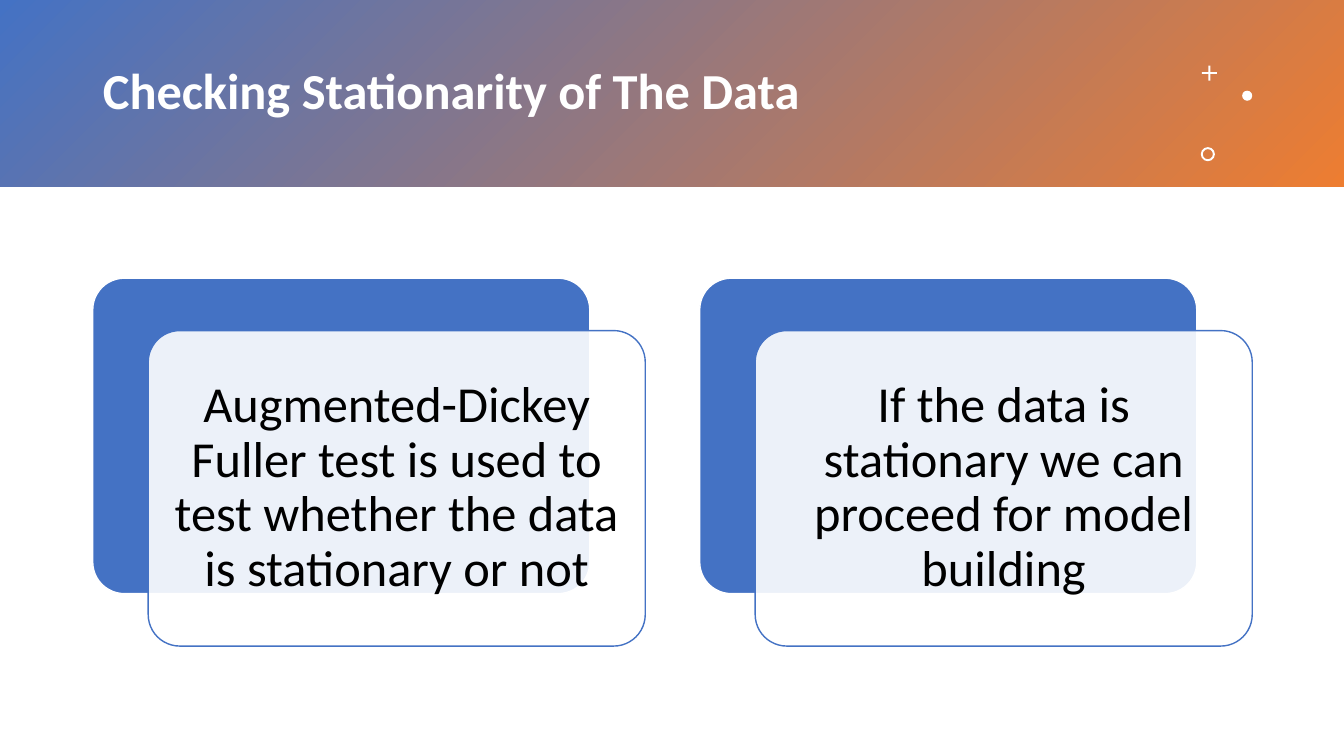
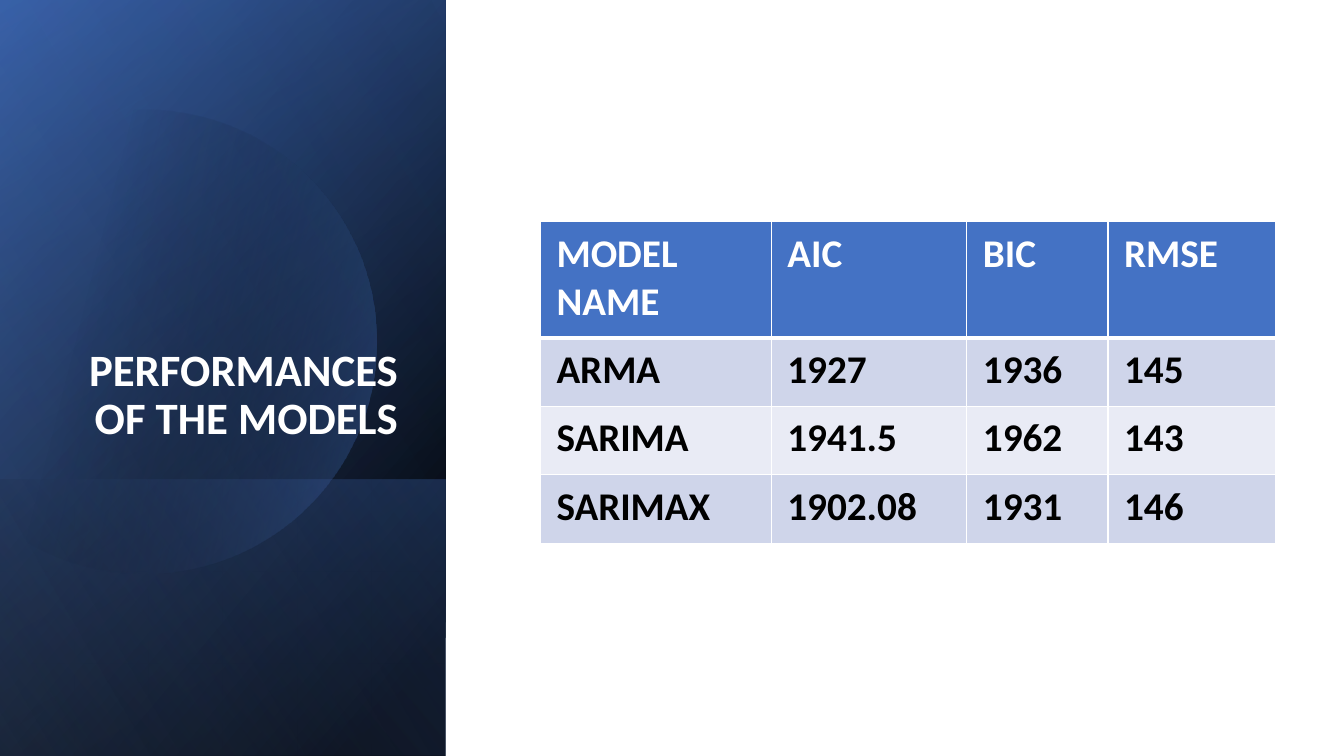
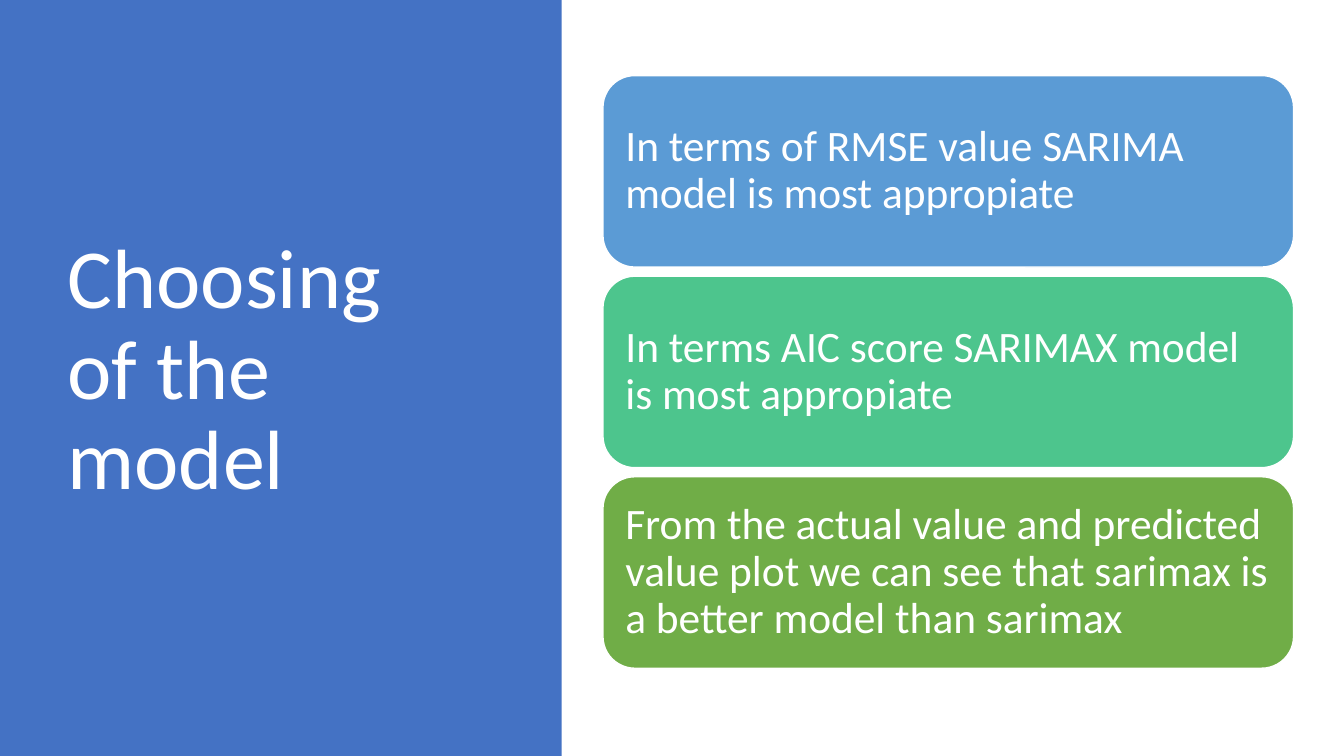
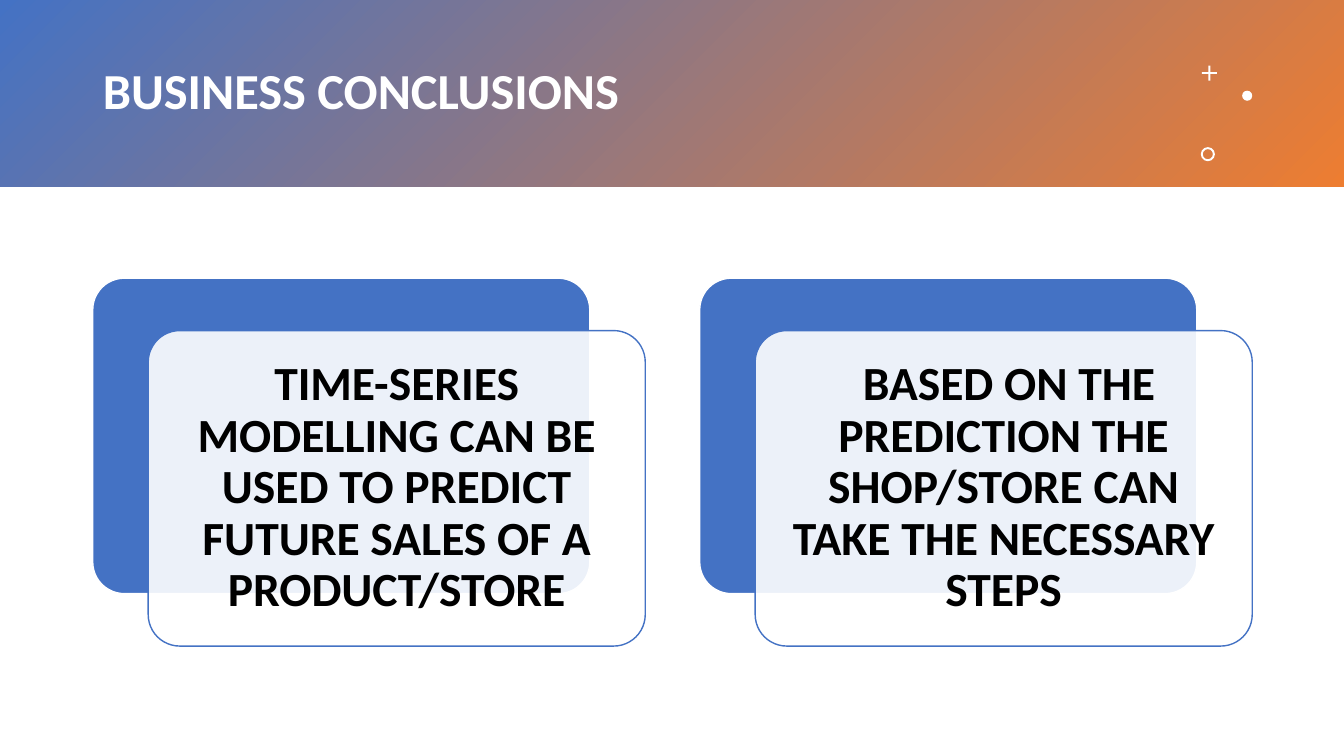
import math
from dataclasses import dataclass
from typing import NamedTuple, Optional

from lxml import etree
from pptx import Presentation
from pptx.dml.color import RGBColor
from pptx.enum.shapes import MSO_SHAPE as Kind
from pptx.enum.text import MSO_ANCHOR as Anchor, MSO_AUTO_SIZE as Fit, PP_ALIGN as Align
from pptx.oxml import ns
from pptx.util import Inches, Pt

FONT = "Calibri"
HEX = {
    "white": "FFFFFF", "black": "000000", "blue": "4472C4", "orange": "ED7D31",
    "navy": "2F5597", "pale": "8FAADC", "sky": "5B9BD5", "mint": "4DC58D",
    "green": "70AD47", "odd": "CFD5EA", "even": "E9EBF5",
}


class Box(NamedTuple):
    x: float
    y: float
    w: float
    h: float

    def size(self) -> list:
        return [Inches(v) for v in self]


class Stop(NamedTuple):
    pos: int
    color: str
    alpha: int = 100


@dataclass
class Style:
    size: int
    color: str = "white"
    bold: bool = False
    align: Align = Align.LEFT
    anchor: Anchor = Anchor.MIDDLE
    space: float = 0.9


@dataclass
class Panel:
    box: Box
    angle: int
    stops: list


FULL = Box(0, 0, 4.42, 7.5)
PANELS = [
    Panel(FULL, 50, [Stop(8, "black"), Stop(100, "navy")]),
    Panel(FULL, 30, [Stop(0, "black", 0), Stop(99, "blue", 46)]),
    Panel(Box(0, 4.76, 4.42, 2.74), 130, [Stop(2, "blue", 29), Stop(100, "black", 30)]),
]
GLOW = Panel(FULL, 120, [Stop(0, "black", 0), Stop(99, "pale", 11)])
MODELS = [
    ["MODEL NAME", "AIC", "BIC", "RMSE"],
    ["ARMA", "1927", "1936", "145"],
    ["SARIMA", "1941.5", "1962", "143"],
    ["SARIMAX", "1902.08", "1931", "146"],
]
CHOICES = [
    ("sky", "In terms of RMSE value SARIMA model is most appropiate"),
    ("mint", "In terms AIC score SARIMAX model is most appropiate"),
    ("green", "From the actual value and predicted value plot we can see that "
              "sarimax is a better model than sarimax"),
]


# Fills and lines
def rgb(name: str) -> RGBColor:
    return RGBColor.from_string(HEX[name])


def sub(node, tag: str, **attrs):
    return etree.SubElement(node, ns.qn(tag), {k: str(v) for k, v in attrs.items()})


def paint(shape, color: str, alpha: int = 100, line: Optional[str] = None) -> None:
    shape.shadow.inherit = False
    shape.fill.solid()
    shape.fill.fore_color.rgb = rgb(color)
    if alpha < 100:
        tint = shape.element.spPr.find(".//" + ns.qn("a:srgbClr"))
        sub(tint, "a:alpha", val=alpha * 1000)
    if line:
        shape.line.color.rgb = rgb(line)
        shape.line.width = Pt(1)
    else:
        shape.line.fill.background()


def blend(shape, stops: list, angle: int) -> None:
    paint(shape, "white")
    shape.fill.gradient()
    grad = shape.element.spPr.find(ns.qn("a:gradFill"))
    for node in list(grad):
        grad.remove(node)
    group = sub(grad, "a:gsLst")
    for stop in stops:
        mark = sub(group, "a:gs", pos=stop.pos * 1000)
        tint = sub(mark, "a:srgbClr", val=HEX[stop.color])
        if stop.alpha < 100:
            sub(tint, "a:alpha", val=stop.alpha * 1000)
    sub(grad, "a:lin", ang=angle * 60000, scaled=0)


# Text
def write(frame, text: str, style: Style, pad: Optional[float] = None) -> None:
    frame.text = text
    frame.word_wrap = True
    frame.auto_size = Fit.NONE
    frame.vertical_anchor = style.anchor
    if pad is not None:
        frame.margin_left = frame.margin_right = Inches(pad)
        frame.margin_top = frame.margin_bottom = Inches(pad)
    for para in frame.paragraphs:
        dress(para, style)


def dress(para, style: Style) -> None:
    para.alignment = style.align
    para.line_spacing = style.space
    for run in para.runs:
        run.font.name = FONT
        run.font.size = Pt(style.size)
        run.font.bold = style.bold
        run.font.color.rgb = rgb(style.color)


def head(slide, text: str, box: Box, style: Style) -> None:
    title = slide.shapes.title
    title.left, title.top, title.width, title.height = box.size()
    write(title.text_frame, text, style)
    title.element.getparent().append(title.element)  # bring to front


# Shared parts
def add(slide, kind: Kind, box: Box, adj: Optional[float] = None):
    shape = slide.shapes.add_shape(kind, *box.size())
    if adj is not None:
        shape.adjustments[0] = adj
    return shape


def banner(slide, text: str) -> None:
    band = add(slide, Kind.RECTANGLE, Box(0, 0, 13.33, 1.85))
    blend(band, [Stop(0, "blue"), Stop(100, "orange")], 45)
    head(slide, text, Box(0.92, 0.33, 10.75, 1.19), Style(36, bold=True))
    for kind, box, adj in (
        (Kind.CROSS, Box(11.92, 0.65, 0.15, 0.15), 0.44),
        (Kind.OVAL, Box(12.32, 0.9, 0.1, 0.1), None),
        (Kind.DONUT, Box(11.91, 1.46, 0.14, 0.14), 0.14),
    ):
        paint(add(slide, kind, box, adj), "white")


def cards(slide, texts: list, style: Style, pad: float) -> None:
    for i, text in enumerate(texts):
        left = 0.92 + 6.02 * i
        back = add(slide, Kind.ROUNDED_RECTANGLE, Box(left, 2.76, 4.93, 3.13), 0.1)
        paint(back, "blue", line="white")
        front = add(slide, Kind.ROUNDED_RECTANGLE, Box(left + 0.55, 3.28, 4.93, 3.13), 0.1)
        paint(front, "white", 90, "blue")
        write(front.text_frame, text, style, pad)


def duo(slide, title: str, texts: list, style: Style, pad: float) -> None:
    banner(slide, title)
    cards(slide, texts, style, pad)


# Model scores
def turn(slide, panel: Panel) -> None:
    """Draw a panel as a mirrored rectangle turned by a quarter."""
    x, y, w, h = panel.box
    shape = add(slide, Kind.RECTANGLE, Box(x + (w - h) / 2, y + (h - w) / 2, h, w))
    shape.rotation = 90
    shape.element.spPr.find(ns.qn("a:xfrm")).set("flipH", "1")
    blend(shape, panel.stops, panel.angle)


def disc(slide) -> None:
    """Draw a circle cut off by a vertical chord on its left."""
    mid, top, rad, edge = 1.43, 3.39, 2.3, -0.15
    end = math.acos((edge - mid) / rad)
    steps = 90
    turns = [end * (2 * i / steps - 1) for i in range(steps + 1)]
    dots = [(Inches(mid + rad * math.cos(t)), Inches(top + rad * math.sin(t))) for t in turns]
    pen = slide.shapes.build_freeform(*dots[0])
    pen.add_line_segments(dots[1:], close=True)
    blend(pen.convert_to_shape(), [Stop(29, "black", 0), Stop(100, "blue", 43)], 14)


def edges(cell, base: int) -> None:
    props = cell._tc.get_or_add_tcPr()
    for side, width in (("L", 1), ("R", 1), ("T", 1), ("B", base)):
        line = sub(props, "a:ln" + side, w=Pt(width))
        sub(sub(line, "a:solidFill"), "a:srgbClr", val=HEX["white"])


def scores(slide) -> None:
    widths, heights = [2.29, 1.94, 1.4, 1.66], [1.15, 0.68, 0.68, 0.68]
    box = Box(5.36, 2.2, sum(widths), sum(heights))
    table = slide.shapes.add_table(len(heights), len(widths), *box.size()).table
    for col, width in zip(table.columns, widths):
        col.width = Inches(width)
    for r, (height, row) in enumerate(zip(heights, MODELS)):
        table.rows[r].height = Inches(height)
        fill = "blue" if r == 0 else "odd" if r % 2 else "even"
        style = Style(28, "black" if r else "white", bold=True, space=1.0)
        for c, text in enumerate(row):
            cell = table.cell(r, c)
            cell.text = text
            dress(cell.text_frame.paragraphs[0], style)
            cell.margin_left = cell.margin_right = Inches(0.16)
            cell.margin_top = cell.margin_bottom = Inches(0.08)
            edges(cell, 1 if r else 3)
            cell.fill.solid()
            cell.fill.fore_color.rgb = rgb(fill)


def models(slide) -> None:
    for panel in PANELS:
        turn(slide, panel)
    disc(slide)
    turn(slide, GLOW)
    style = Style(32, bold=True, align=Align.RIGHT, anchor=Anchor.BOTTOM)
    head(slide, "PERFORMANCES OF THE MODELS", Box(0.64, 1.84, 3.41, 2.62), style)
    scores(slide)


# Model choice
def choice(slide) -> None:
    paint(add(slide, Kind.RECTANGLE, Box(0, 0, 5.57, 7.5)), "blue")
    head(slide, "Choosing of the model", Box(0.57, 0.68, 4.16, 6.02), Style(60))
    for i, (color, text) in enumerate(CHOICES):
        bar = add(slide, Kind.ROUNDED_RECTANGLE, Box(5.98, 0.75 + 1.99 * i, 6.85, 1.9))
        paint(bar, color, line="white")
        write(bar.text_frame, text, Style(31), 0.13)


def main() -> None:
    deck = Presentation()
    deck.slide_width, deck.slide_height = Inches(13.33), Inches(7.5)
    first, second, third, last = [
        deck.slides.add_slide(deck.slide_layouts[5]) for _ in range(4)
    ]
    duo(first, "Checking Stationarity of The Data", [
        "Augmented-Dickey Fuller test is used to test whether the data is stationary or not",
        "If the data is stationary we can proceed for model building",
    ], Style(36, "black", align=Align.CENTER), 0.15)
    models(second)
    choice(third)
    duo(last, "BUSINESS CONCLUSIONS", [
        "TIME-SERIES MODELLING CAN BE USED TO PREDICT FUTURE SALES OF A PRODUCT/STORE",
        " BASED ON THE PREDICTION THE SHOP/STORE CAN TAKE THE NECESSARY STEPS",
    ], Style(34, "black", bold=True, align=Align.CENTER), 0.14)
    deck.save("out.pptx")


if __name__ == "__main__":
    main()
